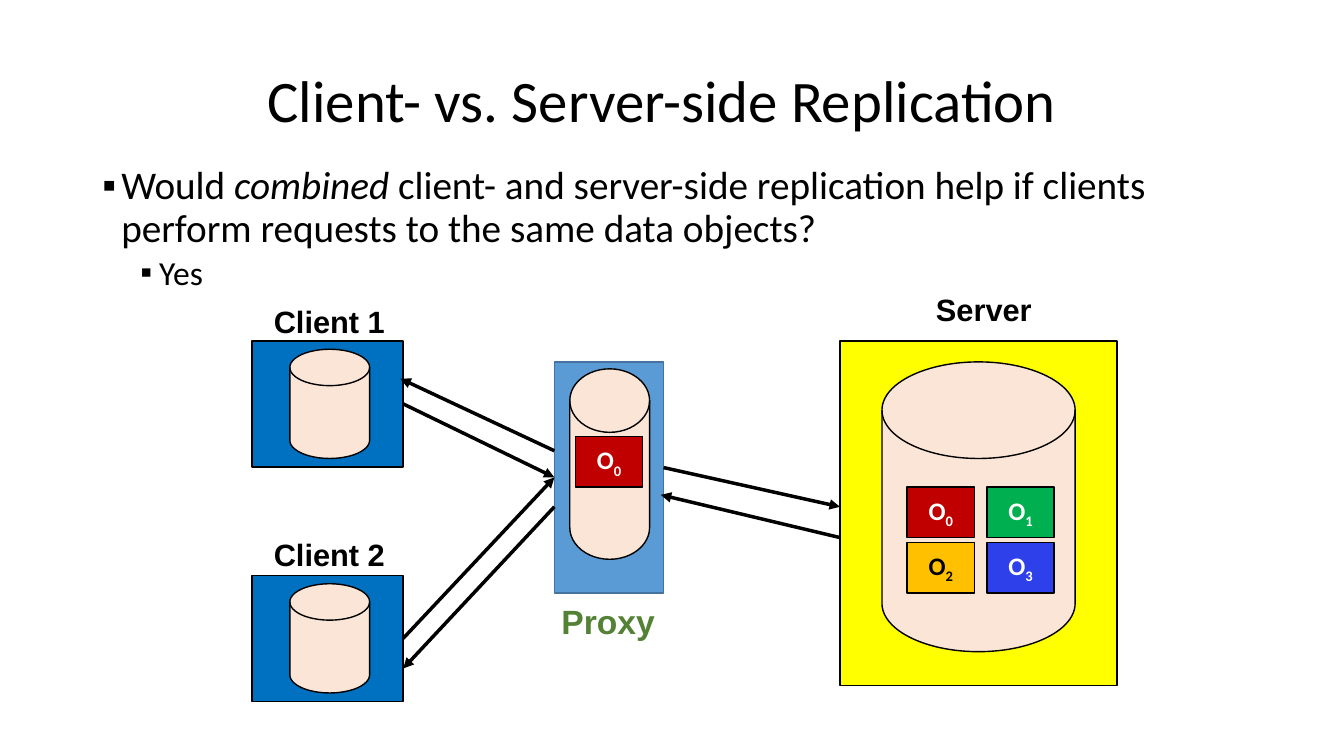
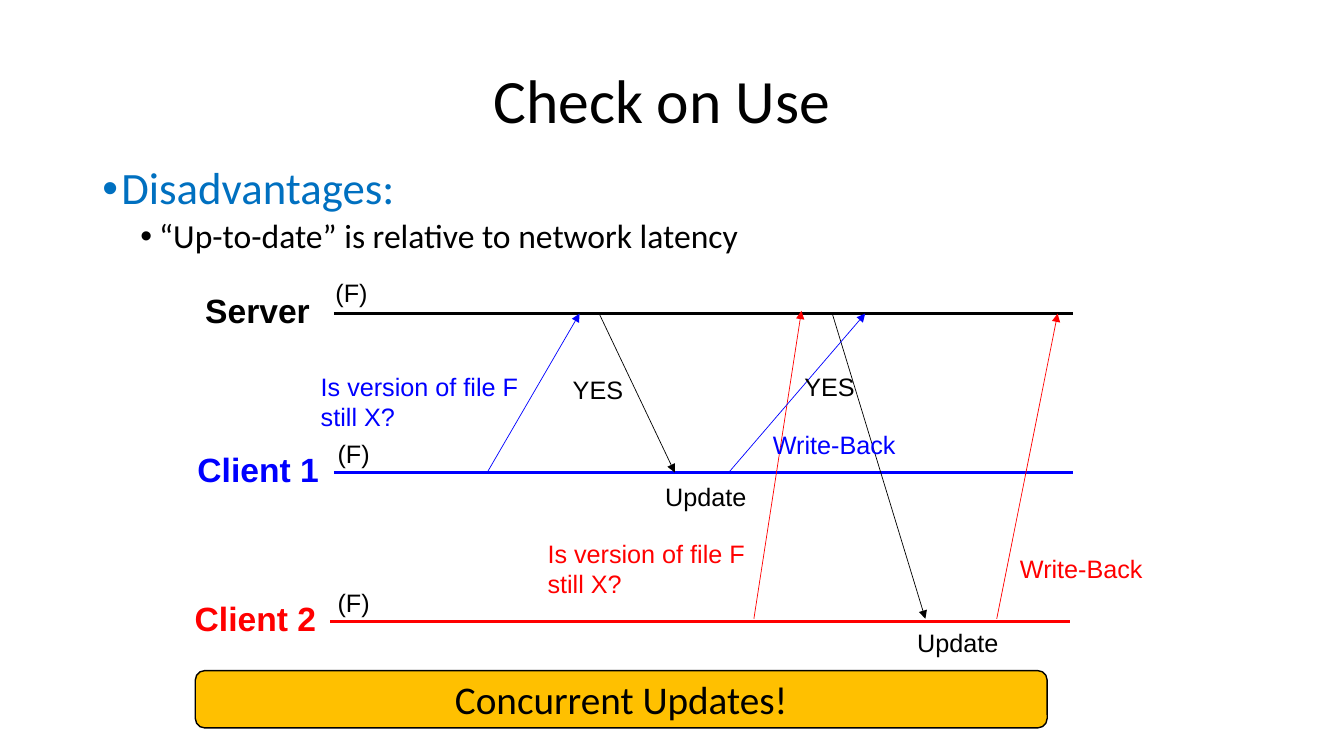
from lxml.etree import SubElement
from pptx import Presentation
from pptx.dml.color import RGBColor
from pptx.enum.shapes import MSO_CONNECTOR, MSO_SHAPE
from pptx.enum.text import MSO_ANCHOR, MSO_AUTO_SIZE, PP_ALIGN
from pptx.oxml.ns import qn
from pptx.util import Pt

COLOURS = {
    "black": "000000",
    "white": "FFFFFF",
    "yellow": "FFFF00",
    "peach": "FBE5D6",
    "crimson": "C00000",
    "green": "00B050",
    "amber": "FFC000",
    "indigo": "2E40EA",
    "client": "0070C0",
    "proxy": "5B9BD5",
    "proxy edge": "43739E",
    "proxy label": "548235",
    "blue": "0000FF",
    "red": "FF0000",
}
HEADING_FONT = "Calibri"
LABEL_FONT = "Arial"
TITLE_AREA = (66, 21.5, 813.5, 104.5)
BODY_AREA = (66, 115, 813.5, 396)
BODY_LEVELS = [(13.5, 7.5), (40.5, 3.75)]  # left margin, space before
HANGING = 13.5
OBJECT_SIZE = (48, 36)
OBJECTS = [("crimson", "white"), ("green", "white"),
           ("amber", "black"), ("indigo", "white")]


def rgb(colour):
    return RGBColor.from_string(COLOURS[colour])


def add_span(para, text, size, colour="black", font=HEADING_FONT,
             bold=False, italic=False, subscript=False):
    span = para.add_run()
    span.text = text
    span.font.name = font
    span.font.size = Pt(size)
    span.font.bold = bold
    span.font.italic = italic
    span.font.color.rgb = rgb(colour)
    if subscript:
        span._r.get_or_add_rPr().set("baseline", "-25000")


def move(shape, area):
    shape.left, shape.top, shape.width, shape.height = map(Pt, area)


def start_page(deck, title, title_size):
    """Add a page with its title set; return the page."""
    page = deck.slides.add_slide(deck.slide_layouts[1])
    box = page.shapes.title
    move(box, TITLE_AREA)
    box.text_frame.auto_size = MSO_AUTO_SIZE.NONE
    box.text_frame.vertical_anchor = MSO_ANCHOR.MIDDLE
    para = box.text_frame.paragraphs[0]
    para.alignment = PP_ALIGN.CENTER
    para.line_spacing = 0.9
    add_span(para, title, title_size)
    return page


def fill_body(page, bullet, items):
    """Write the list; each item is its level, size, colour and (text, italic) parts."""
    box = page.placeholders[1]
    move(box, BODY_AREA)
    frame = box.text_frame
    frame.auto_size = MSO_AUTO_SIZE.NONE
    for index, (level, size, colour, parts) in enumerate(items):
        para = frame.add_paragraph() if index else frame.paragraphs[0]
        margin, before = BODY_LEVELS[level]
        para.level = level
        para.line_spacing = 0.9
        para.space_before = Pt(before)
        properties = para._p.get_or_add_pPr()
        properties.set("marL", str(Pt(margin)))
        properties.set("indent", str(Pt(-HANGING)))
        SubElement(properties, qn("a:buFont")).set("typeface", LABEL_FONT)
        SubElement(properties, qn("a:buChar")).set("char", bullet)
        for text, italic in parts:
            add_span(para, text, size, colour, italic=italic)


def add_box(page, area, fill, line="black", kind=MSO_SHAPE.RECTANGLE):
    box = page.shapes.add_shape(kind, *map(Pt, area))
    box.shadow.inherit = False
    box.fill.solid()
    box.fill.fore_color.rgb = rgb(fill)
    box.line.color.rgb = rgb(line)
    box.line.width = Pt(1)
    return box


def add_disk(page, area):
    add_box(page, area, "peach", kind=MSO_SHAPE.FLOWCHART_MAGNETIC_DISK)


def centred_paragraph(box):
    box.text_frame.vertical_anchor = MSO_ANCHOR.MIDDLE
    para = box.text_frame.paragraphs[0]
    para.alignment = PP_ALIGN.CENTER
    return para


def add_object(page, left, top, number):
    fill, ink = OBJECTS[number]
    para = centred_paragraph(add_box(page, (left, top, *OBJECT_SIZE), fill))
    add_span(para, "O", 18, ink, bold=True)
    add_span(para, str(number), 18, ink, bold=True, subscript=True)


def add_label(page, left, top, width, lines, size=18, colour="black", bold=False):
    height = len(lines) * size * 1.2 + 7.2
    box = page.shapes.add_textbox(Pt(left), Pt(top), Pt(width), Pt(height))
    frame = box.text_frame
    frame.word_wrap = False
    for index, line in enumerate(lines):
        para = frame.add_paragraph() if index else frame.paragraphs[0]
        add_span(para, line, size, colour, LABEL_FONT, bold)


def add_line(page, start, end, colour="black", width=2.5, arrow=True):
    line = page.shapes.add_connector(MSO_CONNECTOR.STRAIGHT, *map(Pt, start + end))
    line.line.color.rgb = rgb(colour)
    line.line.width = Pt(width)
    if arrow:
        SubElement(line.line._get_or_add_ln(), qn("a:tailEnd")).set("type", "triangle")
    SubElement(line._element.spPr, qn("a:effectLst"))
    return line


def add_client(page, name, top, label_top):
    box = add_box(page, (180, top, 108, 90), "client")
    add_disk(page, (207, top + 6, 57, 78))
    add_label(page, 188.5, label_top, 95, [name], 22, bold=True)
    return box


def add_server(page):
    add_box(page, (600, 243.5, 198, 246), "yellow")
    add_disk(page, (630, 258.5, 138, 207))
    for number in range(len(OBJECTS)):
        row, column = divmod(number, 2)
        add_object(page, 648 + 57 * column, 348 + 39.5 * row, number)
    add_label(page, 661.5, 204, 83.5, ["Server"], 22, bold=True)


def add_proxy(page):
    box = add_box(page, (396, 258.5, 78, 165), "proxy", "proxy edge")
    add_disk(page, (407, 263.5, 57, 136))
    add_object(page, 411, 312, 0)
    add_label(page, 394, 426, 82, ["Proxy"], 24, "proxy label", True)
    return box


def replication_page(deck):
    page = start_page(deck, "Client- vs. Server-side Replication", 42)
    fill_body(page, "▪", [
        (0, 28, "black", [
            ("Would ", False),
            ("combined", True),
            (" client- and server-side replication help if clients "
             "perform requests to the same data objects?", False),
        ]),
        (1, 24, "black", [("Yes", False)]),
    ])
    add_server(page)
    clients = [add_client(page, "Client 1", 243.5, 212.5),
               add_client(page, "Client 2", 411, 379)]
    proxy = add_proxy(page)
    for client in clients:
        request = add_line(page, (288, 341), (396, 341))
        request.begin_connect(client, 3)
        request.end_connect(proxy, 1)
    for start, end in [
        ((396, 322), (286, 270.5)),
        ((396, 362), (288, 477.5)),
        ((474, 334), (600, 362)),
        ((600, 384), (472, 353.5)),
    ]:
        add_line(page, start, end)


def check_on_use_page(deck):
    page = start_page(deck, "Check on Use", 44)
    fill_body(page, "•", [
        (0, 32, "client", [("Disadvantages:", False)]),
        (1, 24, "black", [("“Up-to-date” is relative to network latency", False)]),
    ])
    server, first, second = 224, 337.5, 444

    # name, colour, line left and height, name left and width, file left and top
    for name, colour, left, height, name_left, name_width, file_left, file_top in [
        ("Server", "black", 238.5, server, 139.5, 90, 232.5, 194.5),
        ("Client 1", "blue", 238.5, first, 134, 102, 234, 309.5),
        ("Client 2", "red", 236, second, 132, 102, 234, 416),
    ]:
        add_line(page, (left, height), (left + 528, height), colour, arrow=False)
        add_label(page, name_left, height - 20.5, name_width, [name], 24, colour, True)
        add_label(page, file_left, file_top, 37.5, ["(F)"])

    for colour, start, end in [
        ("blue", (348, first), (414, server)),
        ("black", (428, server), (482, first)),
        ("red", (538.5, second - 2), (572.5, server - 2)),
        ("black", (594.5, server), (661, second - 2)),
        ("blue", (520.5, first), (618, server)),
        ("red", (712, second - 2), (755.5, server)),
    ]:
        add_line(page, start, end, colour, 0.5)

    question = ["Is version of file F", "still X?"]
    for left, top, width, lines, colour in [
        (222, 261.5, 162, question, "blue"),
        (384, 381, 162, question, "red"),
        (402, 263.5, 51, ["YES"], "black"),
        (567.5, 261.5, 51, ["YES"], "black"),
        (468, 340.5, 73.5, ["Update"], "black"),
        (648, 444.5, 73.5, ["Update"], "black"),
        (545, 303, 103, ["Write-Back"], "blue"),
        (721.5, 392, 103, ["Write-Back"], "red"),
    ]:
        add_label(page, left, top, width, lines, colour=colour)

    banner = add_box(page, (139.5, 479, 608.5, 41), "amber",
                     kind=MSO_SHAPE.ROUNDED_RECTANGLE)
    add_span(centred_paragraph(banner), "Concurrent Updates!", 28)


def main():
    deck = Presentation()
    deck.slide_width, deck.slide_height = Pt(960), Pt(540)
    replication_page(deck)
    check_on_use_page(deck)
    deck.save("out.pptx")


if __name__ == "__main__":
    main()
